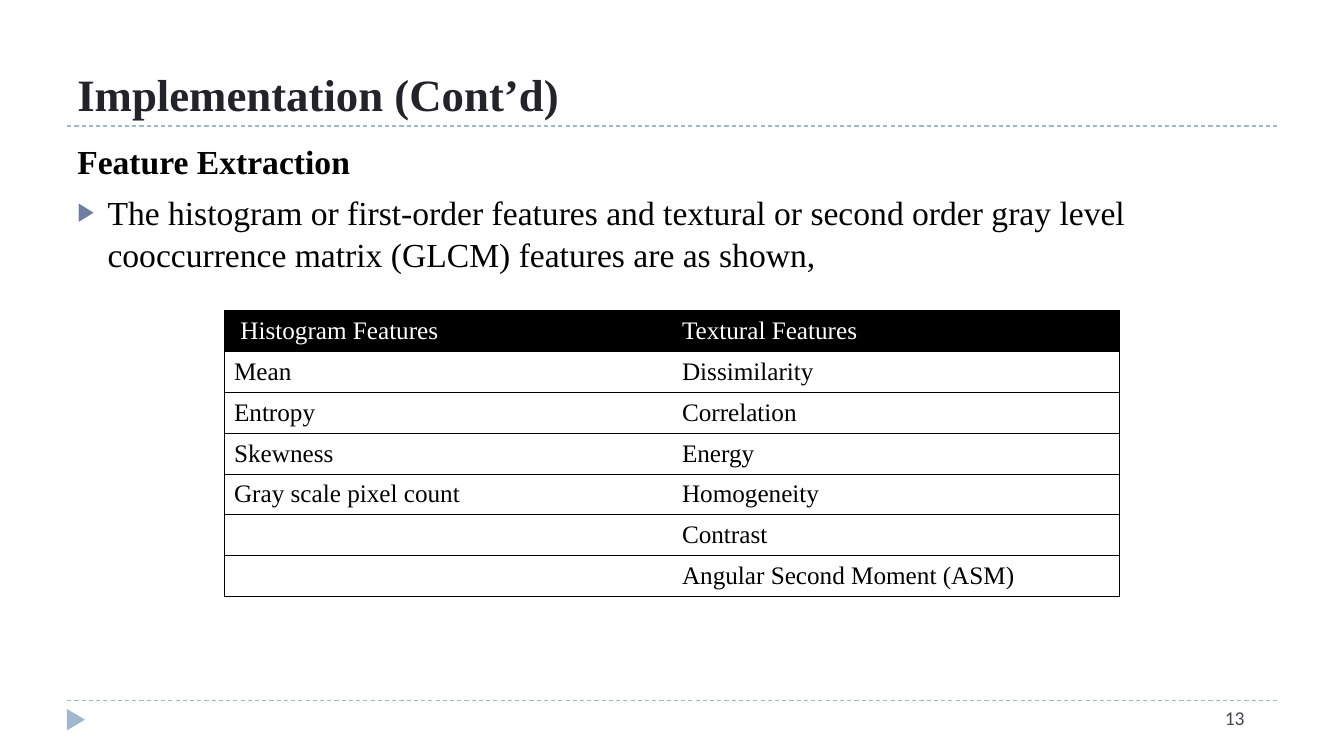
from dataclasses import dataclass

import lxml.etree
import pptx
import pptx.dml.color
import pptx.enum.dml
import pptx.enum.shapes
import pptx.enum.text
import pptx.oxml
import pptx.oxml.ns
import pptx.util

SERIF = "Times New Roman"
BLACK, WHITE, ACCENT = "000000", "FFFFFF", "9FB8CD"

deck = pptx.Presentation()
deck.slide_width = pptx.util.Inches(13.333)
deck.slide_height = pptx.util.Inches(7.5)


def col(count: float) -> int:
    """Width of a number of columns; the slide has 20."""
    return round(deck.slide_width * count / 20)


def row(count: float) -> int:
    """Height of a number of rows; the slide has 30."""
    return round(deck.slide_height * count / 30)


@dataclass
class Area:
    left: float
    top: float
    width: float
    height: float

    def lengths(self) -> tuple[int, int, int, int]:
        return col(self.left), row(self.top), col(self.width), row(self.height)


@dataclass
class Style:
    size: float
    color: str = BLACK
    font: str = SERIF
    bold: bool = False


def colour(value: str) -> pptx.dml.color.RGBColor:
    return pptx.dml.color.RGBColor.from_string(value)


def add_element(parent, tag: str, **attributes: str):
    return lxml.etree.SubElement(parent, pptx.oxml.ns.qn(tag), attributes)


def format_runs(para, style: Style) -> None:
    for span in para.runs:
        span.font.name = style.font
        span.font.size = pptx.util.Pt(style.size)
        span.font.bold = style.bold
        span.font.color.rgb = colour(style.color)


def place(box, area: Area) -> None:
    box.left, box.top, box.width, box.height = area.lengths()


def add_rule(page, top: float) -> None:
    rule = page.shapes.add_connector(
        pptx.enum.shapes.MSO_CONNECTOR.STRAIGHT, col(1), row(top), col(19), row(top))
    rule.line.color.rgb = colour(ACCENT)
    rule.line.width = pptx.util.Pt(0.75)
    rule.line.dash_style = pptx.enum.dml.MSO_LINE.DASH
    add_element(rule._element.spPr, "a:effectLst")


def set_bullet(para, char: str, color: str, percent: int, indent: float) -> None:
    properties = para._p.get_or_add_pPr()
    hang = pptx.util.Inches(indent)
    properties.set("marL", str(hang))
    properties.set("indent", str(-hang))
    if not char:
        add_element(properties, "a:buNone")
        return
    add_element(add_element(properties, "a:buClr"), "a:srgbClr", val=color)
    add_element(properties, "a:buSzPct", val=str(percent * 1000))
    add_element(properties, "a:buFont", typeface="Arial")
    add_element(properties, "a:buChar", char=char)


def set_borders(cell, sides: str) -> None:
    """Draw the named sides (L, R, T, B) and leave the others open."""
    properties = cell._tc.get_or_add_tcPr()
    for position, side in enumerate("LRTB"):
        edge = pptx.oxml.parse_xml(
            f'<a:ln{side} {pptx.oxml.ns.nsdecls("a")} w="9525"/>')
        if side in sides:
            add_element(add_element(edge, "a:solidFill"), "a:srgbClr", val=BLACK)
        else:
            add_element(edge, "a:noFill")
        properties.insert(position, edge)


def add_feature_table(page, area: Area, records: list[tuple[str, str]]) -> None:
    table = page.shapes.add_table(len(records), 2, *area.lengths()).table
    table.first_row = table.horz_banding = False
    for r, record in enumerate(records):
        ink, fill = (WHITE, BLACK) if r == 0 else (BLACK, WHITE)
        for c, text in enumerate(record):
            cell = table.cell(r, c)
            cell.vertical_anchor = pptx.enum.text.MSO_ANCHOR.MIDDLE
            cell.fill.solid()
            cell.fill.fore_color.rgb = colour(fill)
            set_borders(cell, "TB" + "LR"[c])
            if text:
                cell.text_frame.text = text
                format_runs(cell.text_frame.paragraphs[0], Style(18, ink))


page = deck.slides.add_slide(deck.slide_layouts[1])

# Dashed rules and corner marker
for rule_top in (27.8, 5):
    add_rule(page, rule_top)
marker = page.shapes.add_shape(
    pptx.enum.shapes.MSO_SHAPE.ISOSCELES_TRIANGLE, *Area(0.97, 28.2, 0.32, 0.72).lengths())
marker.rotation = 90
marker.shadow.inherit = False
marker.fill.solid()
marker.fill.fore_color.rgb = colour(ACCENT)
marker.line.fill.background()

# Title
title = page.shapes.title
place(title, Area(1, 0.68, 18, 4.32))
title.text_frame.text = "Implementation (Cont’d)"
title.text_frame.vertical_anchor = pptx.enum.text.MSO_ANCHOR.BOTTOM
title.text_frame.paragraphs[0].alignment = pptx.enum.text.PP_ALIGN.LEFT
format_runs(title.text_frame.paragraphs[0], Style(32, "23232A", bold=True))

# Body
body = page.placeholders[1]
place(body, Area(1, 5.32, 18, 22.2))
frame = body.text_frame
frame.auto_size = pptx.enum.text.MSO_AUTO_SIZE.NONE
heading = frame.paragraphs[0]
heading.text = "Feature Extraction"
set_bullet(heading, "", BLACK, 100, 0)
point = frame.add_paragraph()
point.text = ("The histogram or first-order features and textural or second order gray level "
              "cooccurrence matrix (GLCM) features are as shown,")
set_bullet(point, "▶", "727CA3", 76, 0.3)
for para, space, bold in ((heading, 0, True), (point, 6, False)):
    para.space_before = pptx.util.Pt(space)
    para.line_spacing = 1.05
    format_runs(para, Style(24, bold=bold))

# Feature table
add_feature_table(page, Area(20 / 6, 12.32, 40 / 3, 11.36), [
    (" Histogram Features", "Textural Features"),
    ("Mean", "Dissimilarity"),
    ("Entropy", "Correlation"),
    ("Skewness", "Energy"),
    ("Gray scale pixel count", "Homogeneity"),
    ("", "Contrast"),
    ("", "Angular Second Moment (ASM)"),
])

# Page number
number = page.shapes.add_textbox(*Area(14.34, 27.8, 4.33, 1.6).lengths())
number.text_frame.word_wrap = True
number.text_frame.text = "13"
number.text_frame.paragraphs[0].alignment = pptx.enum.text.PP_ALIGN.RIGHT
format_runs(number.text_frame.paragraphs[0], Style(14, "464653", "Calibri"))

deck.save("out.pptx")
